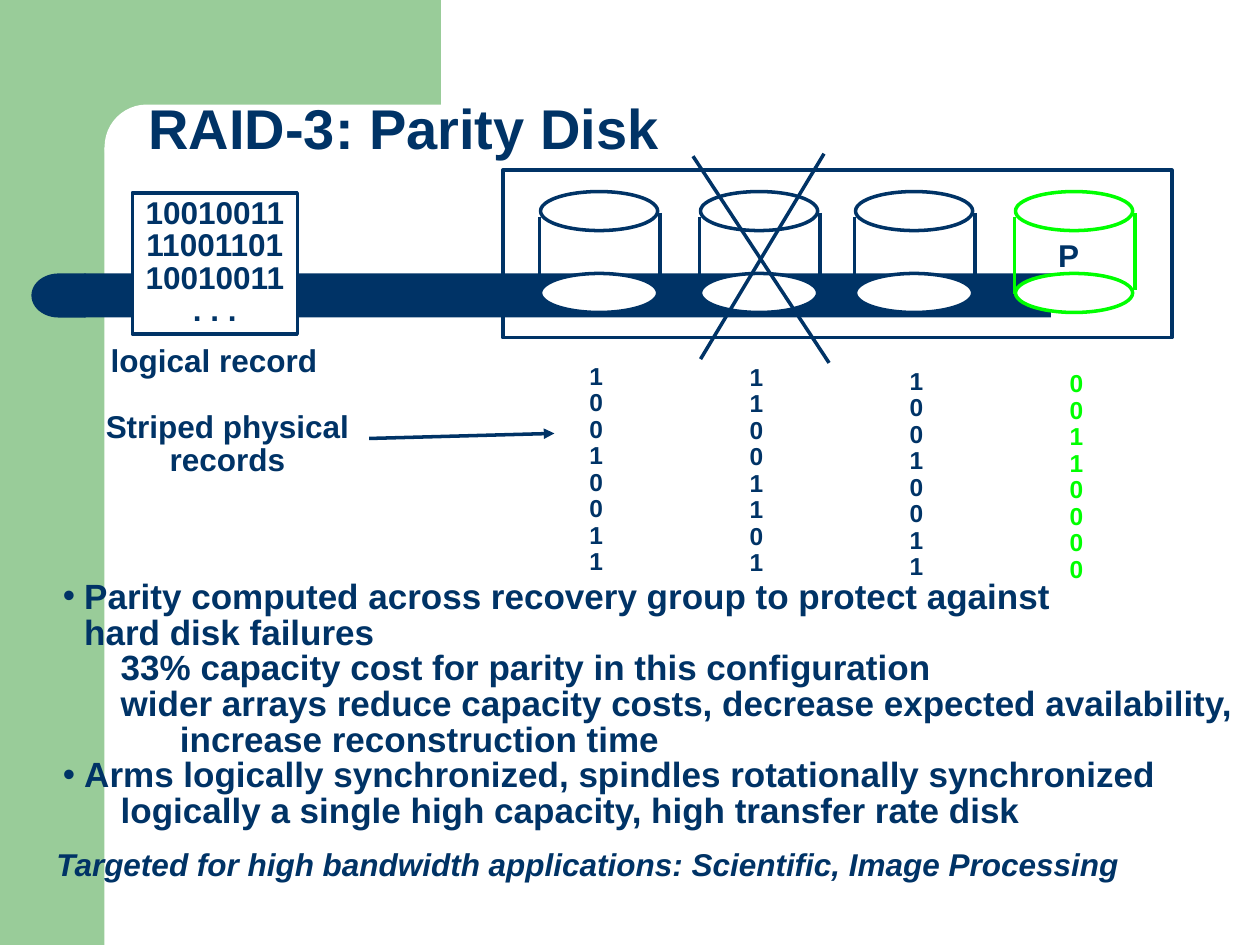
import pptx
import pptx.util
import pptx.dml.color
import pptx.enum.shapes
import pptx.enum.text
import pptx.oxml.ns
import lxml.etree

Inches = pptx.util.Inches
SHAPE = pptx.enum.shapes.MSO_SHAPE
ALIGN = pptx.enum.text.PP_ALIGN
ANCHOR = pptx.enum.text.MSO_ANCHOR

NAVY, SAGE, GREEN, WHITE = "003366", "99CC99", "00FF00", "FFFFFF"

# Content
TITLE = "RAID-3: Parity Disk"
RECORD = ["10010011", "11001101", "10010011", ". . ."]
# Each disk: left, top of its bits, bits, colour
DISKS = [
    (4.29, 2.84, "10010011", NAVY),
    (5.56, 2.85, "11001101", NAVY),
    (6.79, 2.88, "10010011", NAVY),
    (8.06, 2.90, "00110000", GREEN),
]
# Each point: text, left margin in inches, bulleted
POINTS = [
    ("Parity computed across recovery group to protect against\vhard disk failures", 0.17, True),
    ("33% capacity cost for parity in this configuration", 0.46, False),
    ("wider arrays reduce capacity costs, decrease expected availability,", 0.46, False),
    ("increase reconstruction time", 0.93, False),
    ("Arms logically synchronized, spindles rotationally synchronized", 0.17, True),
    ("logically a single high capacity, high transfer rate disk", 0.46, False),
]
TARGET = "Targeted for high bandwidth applications: Scientific, Image Processing"

deck = pptx.Presentation()
deck.slide_width, deck.slide_height = Inches(10), Inches(7.5)
slide = deck.slides.add_slide(deck.slide_layouts[6])


def rgb(colour):
    return pptx.dml.color.RGBColor.from_string(colour)


def add_child(parent, tag, **attributes):
    child = lxml.etree.SubElement(parent, pptx.oxml.ns.qn(tag))
    for key, value in attributes.items():
        child.set(key, value)


def add_shape(kind, left, top, width, height, fill=None, line=None):
    shape = slide.shapes.add_shape(kind, *map(Inches, (left, top, width, height)))
    shape.shadow.inherit = False
    if fill:
        shape.fill.solid()
        shape.fill.fore_color.rgb = rgb(fill)
    else:
        shape.fill.background()
    if line:
        shape.line.color.rgb = rgb(line)
        shape.line.width = pptx.util.Pt(2)
    else:
        shape.line.fill.background()
    return shape


def add_line(x1, y1, x2, y2, colour=NAVY, arrow=False):
    line = slide.shapes.add_connector(
        pptx.enum.shapes.MSO_CONNECTOR.STRAIGHT, *map(Inches, (x1, y1, x2, y2)))
    line.line.color.rgb = rgb(colour)
    line.line.width = pptx.util.Pt(2)
    if arrow:
        add_child(line.line._get_or_add_ln(), "a:tailEnd", type="triangle")
    add_child(line._element.spPr, "a:effectLst")


def write(shape, lines, size, colour=NAVY, align=ALIGN.LEFT, spacing=0.85,
          anchor=ANCHOR.TOP, wrap=False, italic=False):
    frame = shape.text_frame
    frame.word_wrap = wrap
    frame.vertical_anchor = anchor
    frame.text = "\n".join(lines)
    for paragraph in frame.paragraphs:
        paragraph.alignment = align
        paragraph.line_spacing = spacing
        for run in paragraph.runs:
            run.font.name = "Arial"
            run.font.size = pptx.util.Pt(size)
            run.font.bold = True
            run.font.italic = italic
            run.font.color.rgb = rgb(colour)


def add_text(left, top, width, height, lines, size, **style):
    box = slide.shapes.add_textbox(*map(Inches, (left, top, width, height)))
    write(box, lines, size, **style)
    return box


# Background bands and the navy bar with its round end
add_shape(SHAPE.RECTANGLE, 0, 0, 0.83, 7.5, SAGE)
add_shape(SHAPE.RECTANGLE, 0.75, 0, 2.75, 1.17, SAGE)
add_shape(SHAPE.ROUNDED_RECTANGLE, 0.83, 0.83, 5.58, 0.67, WHITE).adjustments[0] = 0.5
add_shape(SHAPE.RECTANGLE, 0.67, 2.17, 7.67, 0.35, NAVY)
bar_end = add_shape(SHAPE.FLOWCHART_DELAY, 0.25, 2.17, 0.43, 0.35, NAVY)
bar_end._element.spPr.xfrm.set("flipH", "1")

add_text(1.08, 0.42, 7.83, 1.25, [TITLE], 32, spacing=0.9,
         anchor=ANCHOR.MIDDLE, wrap=True)

# Disks with the bits striped onto each
for number, (left, bits_top, bits, colour) in enumerate(DISKS):
    for top in (1.52, 2.17):
        add_shape(SHAPE.OVAL, left, top, 0.93, 0.31, WHITE, colour)
    add_line(left - 0.01, 1.72, left - 0.01, 2.33, colour)
    add_line(left + 0.95, 1.69, left + 0.95, 2.3, colour)
    add_text(4.58 + 1.27 * number, bits_top, 0.31, 1.78, bits, 14,
             colour=colour, spacing=0.9)

# Frame around the array, parity label, cross over the failed disk
add_shape(SHAPE.RECTANGLE, 3.99, 1.35, 5.31, 1.33, line=NAVY)
add_text(8.3, 1.87, 0.37, 0.35, ["P"], 18)
add_line(5.5, 1.24, 6.58, 2.88)
add_line(6.54, 1.22, 5.56, 2.85)

# Logical record and its striping
record = add_shape(SHAPE.RECTANGLE, 1.05, 1.53, 1.31, 1.12, WHITE, NAVY)
write(record, RECORD, 18, align=ALIGN.CENTER, anchor=ANCHOR.MIDDLE)
add_text(0.78, 2.7, 1.84, 0.35, ["logical record"], 18)
add_text(0.74, 3.23, 2.13, 0.61, ["Striped physical", "records"], 18, align=ALIGN.CENTER)
add_line(2.93, 3.48, 4.4, 3.44, arrow=True)

# Points
points = add_text(0.4, 4.56, 9.51, 2.08, [text for text, _, _ in POINTS], 20)
for paragraph, (_, margin, bulleted) in zip(points.text_frame.paragraphs, POINTS):
    properties = paragraph._p.get_or_add_pPr()
    properties.set("marL", str(Inches(margin)))
    properties.set("indent", str(Inches(-margin if bulleted else 0)))
    if bulleted:
        add_child(properties, "a:buFont", typeface="Arial")
        add_child(properties, "a:buChar", char="•")
    else:
        add_child(properties, "a:buNone")

add_text(0.35, 6.7, 8.64, 0.35, [TARGET], 18, italic=True)

deck.save("out.pptx")
